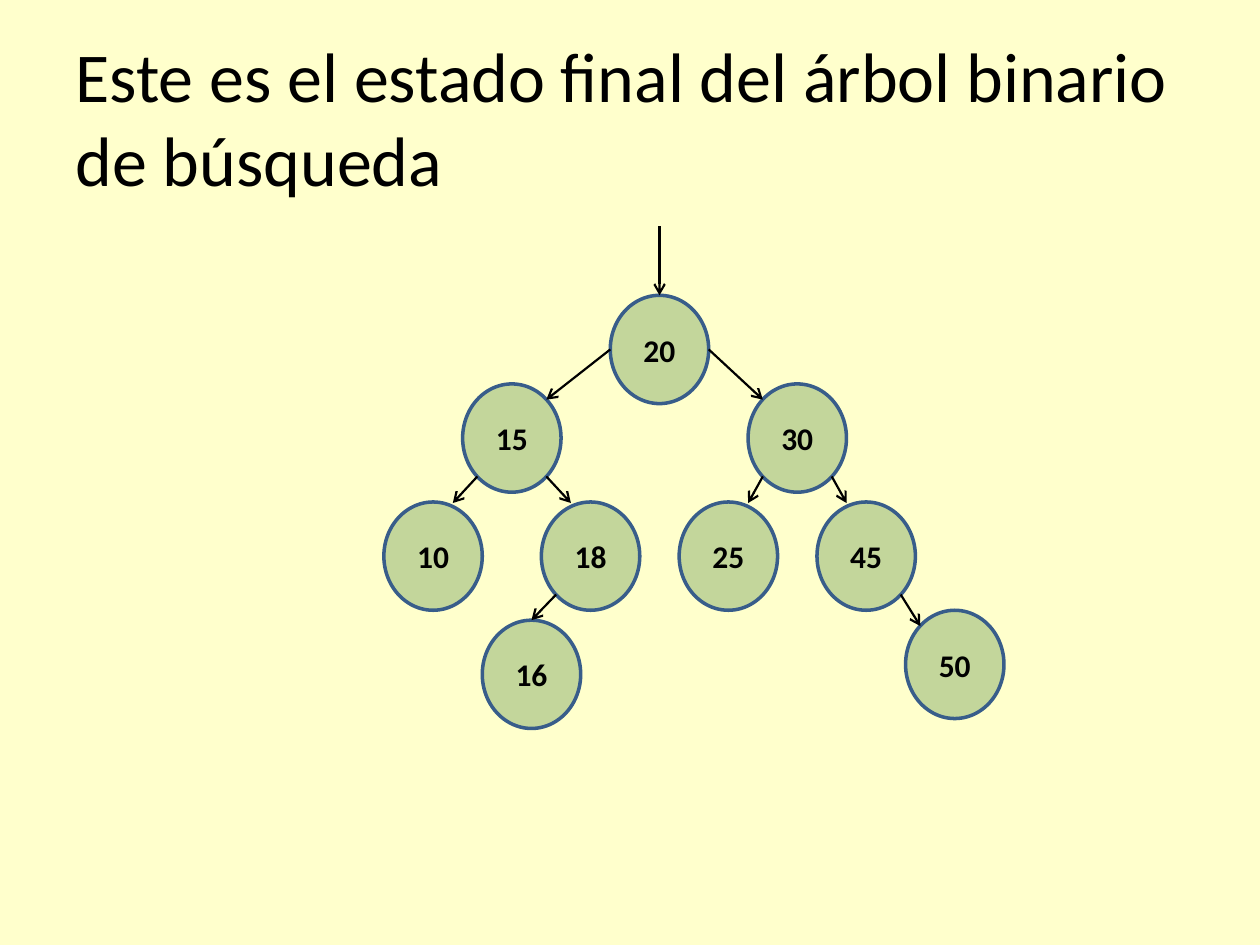
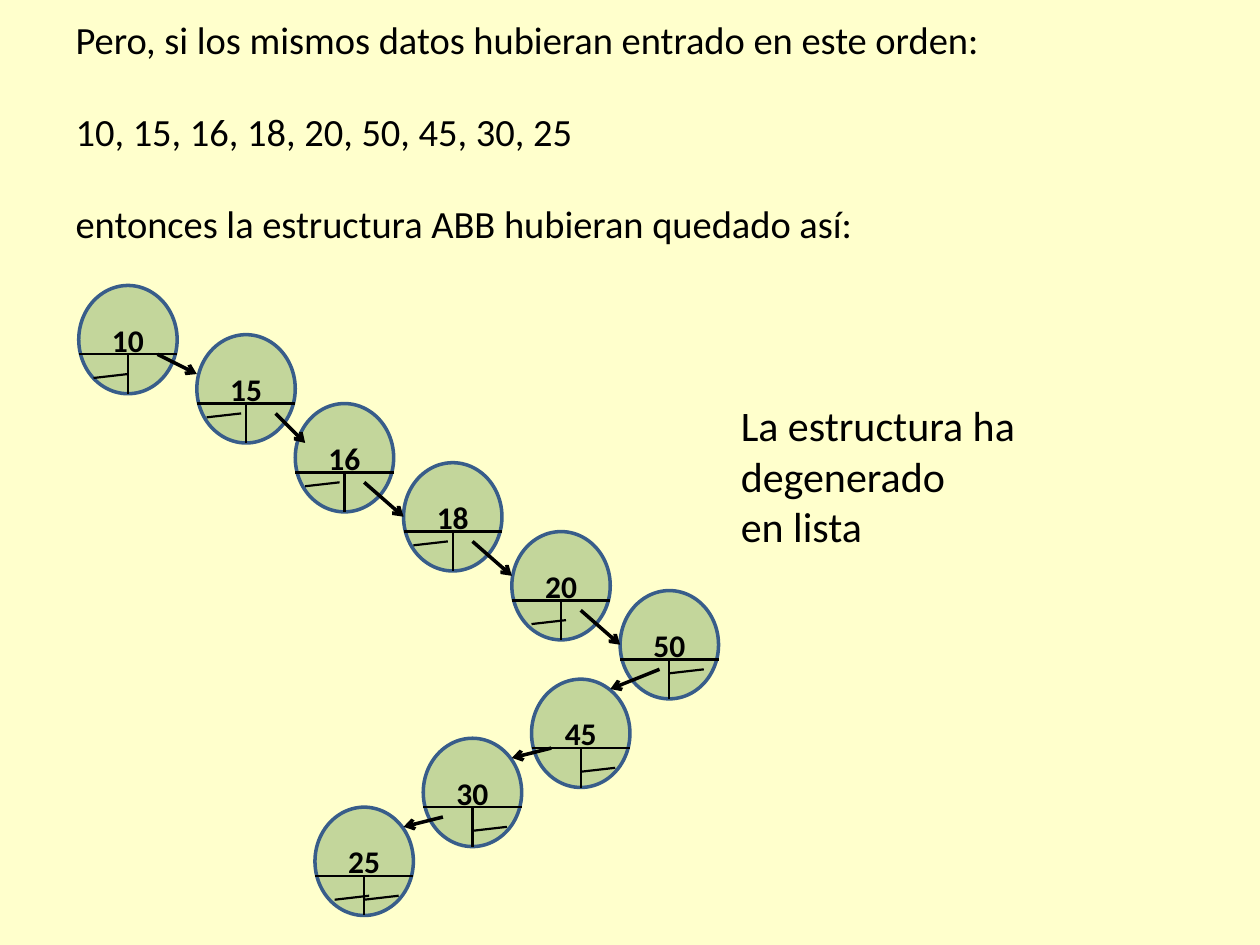
from lxml.etree import SubElement
from pptx import Presentation
from pptx.dml.color import RGBColor
from pptx.enum.shapes import MSO_CONNECTOR, MSO_SHAPE
from pptx.enum.text import MSO_ANCHOR, MSO_AUTO_SIZE, PP_ALIGN
from pptx.oxml.ns import qn
from pptx.util import Pt

CREAM = RGBColor(0xFF, 0xFF, 0xCC)
GREEN = RGBColor(0xC3, 0xD6, 0x9B)
BLUE = RGBColor(0x38, 0x5D, 0x8A)
BLACK = RGBColor(0, 0, 0)

SCALE = 914400 / 128
WIDE, TALL = 100, 110
MID = WIDE // 2
SPLIT = 70


def px(*sizes):
    return [round(size * SCALE) for size in sizes]


def shift(spot, step):
    return spot[0] + step[0], spot[1] + step[1]


class Pen:
    font = "Calibri"
    thin = Pt(1.25)
    thick = Pt(2)

    def __init__(self):
        self.deck = Presentation()
        self.deck.slide_width, self.deck.slide_height = px(1280, 960)
        fill = self.deck.slide_master.background.fill
        fill.solid()
        fill.fore_color.rgb = CREAM
        self.slide = None

    def page(self):
        self.slide = self.deck.slides.add_slide(self.deck.slide_layouts[5])

    def style(self, frame, size, bold=False, align=PP_ALIGN.LEFT):
        for para in frame.paragraphs:
            para.alignment = align
            for run in para.runs:
                run.font.name = self.font
                run.font.size = Pt(size)
                run.font.bold = bold
                run.font.color.rgb = BLACK

    def title(self, text, box, size, gap=0):
        shape = self.slide.shapes.title
        shape.left, shape.top, shape.width, shape.height = px(*box)
        frame = shape.text_frame
        frame.text = text
        frame.auto_size = MSO_AUTO_SIZE.NONE
        frame.vertical_anchor = MSO_ANCHOR.MIDDLE
        for para in frame.paragraphs[1:]:
            para.space_before = Pt(gap)
        self.style(frame, size)

    def note(self, text, box, size):
        frame = self.slide.shapes.add_textbox(*px(*box)).text_frame
        frame.word_wrap = True
        frame.text = text
        self.style(frame, size)

    def node(self, key, spot):
        shape = self.slide.shapes.add_shape(
            MSO_SHAPE.OVAL, *px(*spot, WIDE, TALL))
        shape.shadow.inherit = False
        shape.fill.solid()
        shape.fill.fore_color.rgb = GREEN
        shape.line.color.rgb = BLUE
        shape.line.width = self.thick
        frame = shape.text_frame
        frame.text = str(key)
        frame.vertical_anchor = MSO_ANCHOR.MIDDLE
        self.style(frame, 18, True, PP_ALIGN.CENTER)

    def line(self, start, end, width=thin):
        link = self.slide.shapes.add_connector(
            MSO_CONNECTOR.STRAIGHT, *px(*start, *end))
        link.line.color.rgb = BLACK
        link.line.width = width
        SubElement(link._element.spPr, qn("a:effectLst"))
        return link

    def arrow(self, start, end, width=thin):
        link = self.line(start, end, width)
        SubElement(link.line._get_or_add_ln(), qn("a:tailEnd"), type="arrow")

    def cell(self, spot, marks):
        x, y = spot
        self.line((x, y + SPLIT), (x + WIDE, y + SPLIT))
        self.line((x + MID, y + SPLIT), (x + MID, y + TALL))
        for mark in marks:
            start = shift(spot, mark)
            self.line(start, shift(start, (35, -4)))


def draw_tree(pen):
    pen.page()
    pen.title("Este es el estado final del árbol binario de búsqueda",
              (64, 38, 1152, 160), 40)
    nodes = {20: (620, 300), 15: (470, 390), 30: (760, 390),
             10: (390, 510), 18: (550, 510), 25: (690, 510),
             45: (830, 510), 16: (490, 630), 50: (920, 620)}
    west, east = (0, 55), (WIDE, 55)
    upper_left, upper_right = (15, 16), (85, 16)
    lower_left, lower_right = (15, 94), (85, 94)
    near_left, near_right = (30, 1), (70, 1)
    links = [(20, west, 15, upper_right), (20, east, 30, upper_left),
             (15, lower_left, 10, near_right),
             (15, lower_right, 18, near_left),
             (30, lower_left, 25, near_right),
             (30, lower_right, 45, near_left),
             (18, lower_left, 16, (MID, 0)),
             (45, lower_right, 50, upper_left)]
    for key, spot in nodes.items():
        pen.node(key, spot)
    root = shift(nodes[20], (MID, 0))
    pen.arrow(shift(root, (0, -70)), root)
    for top, leave, low, reach in links:
        pen.arrow(shift(nodes[top], leave), shift(nodes[low], reach))


def draw_chain(pen):
    pen.page()
    pen.title("Pero, si los mismos datos hubieran entrado en este orden:\n"
              "10, 15, 16, 18, 20, 50, 45, 30, 25\n"
              "entonces la estructura ABB hubieran quedado así:",
              (64, 8, 1152, 250), 22, 26)
    chain = [(10, (80, 290), [(15, 94)], (80, 70), (40, 20)),
             (15, (200, 340), [(10, 84)], (80, 80), (30, 30)),
             (16, (300, 410), [(10, 84)], (70, 80), (40, 35)),
             (18, (410, 470), [(10, 84)], (70, 80), (40, 35)),
             (20, (520, 540), [(20, 94)], (70, 80), (40, 35)),
             (50, (630, 600), [(50, 84)], (40, 80), (-50, 20)),
             (45, (540, 690), [(50, 94)], (20, 70), (-40, 10)),
             (30, (430, 750), [(50, 94)], (20, 80), (-40, 10)),
             (25, (320, 820), [(20, 94), (50, 94)], None, None)]
    for key, spot, *rest in chain:
        pen.node(key, spot)
    pen.note("La estructura ha degenerado\nen lista", (740, 400, 420, 167), 24)
    for key, spot, marks, leave, step in chain:
        pen.cell(spot, marks)
        if leave:
            start = shift(spot, leave)
            pen.arrow(start, shift(start, step), pen.thick)


def main():
    pen = Pen()
    draw_tree(pen)
    draw_chain(pen)
    pen.deck.save("out.pptx")


if __name__ == "__main__":
    main()
